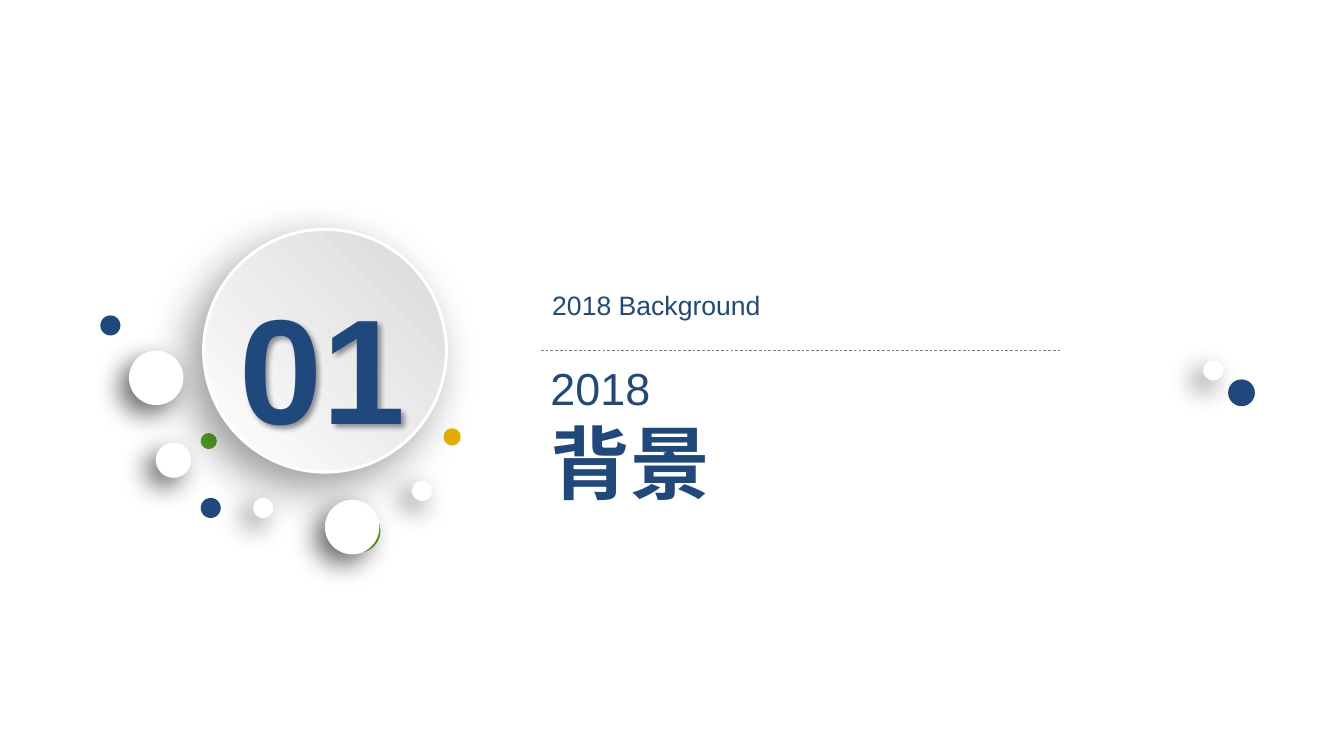
from lxml.etree import SubElement
from pptx import Presentation
from pptx.dml.color import RGBColor
from pptx.enum.dml import MSO_LINE_DASH_STYLE as Dash
from pptx.enum.shapes import MSO_CONNECTOR_TYPE as Link, MSO_SHAPE as Preset
from pptx.enum.text import MSO_ANCHOR as Anchor, MSO_AUTO_SIZE as Fit, PP_ALIGN as Align
from pptx.oxml.ns import qn
from pptx.util import Pt

COLORS = {
    "navy": "1F497D", "green": "58A527", "amber": "EAAE00",
    "white": "FFFFFF", "silver": "D9D9D9", "grey": "808080", "black": "000000",
}


def color(name):
    return RGBColor.from_string(COLORS[name])


class SectionSlide:
    """Holds the font and the current slide."""

    def __init__(self, slide, font="Arial"):
        self.slide = slide
        self.font = font

    def shadow(self, shape, opacity, blur, distance, angle):
        shape.shadow.inherit = False
        effects = shape._element.spPr.find(qn("a:effectLst"))
        outer = SubElement(effects, qn("a:outerShdw"), blurRad=str(Pt(blur)),
                           dist=str(Pt(distance)), dir=str(angle * 60000),
                           algn="ctr", rotWithShape="0")
        tone = SubElement(outer, qn("a:srgbClr"), val=COLORS["black"])
        SubElement(tone, qn("a:alpha"), val=str(opacity * 1000))

    def dot(self, left, top, size, fill):
        dot = self.slide.shapes.add_shape(
            Preset.OVAL, Pt(left), Pt(top), Pt(size), Pt(size))
        dot.shadow.inherit = False
        dot.fill.solid()
        dot.fill.fore_color.rgb = color(fill)
        dot.line.fill.background()
        return dot

    def disc(self, left, top, size):
        disc = self.dot(left, top, size, "white")
        disc.fill.gradient()
        disc.fill.gradient_angle = 45
        for stop, tone in zip(disc.fill.gradient_stops, ("white", "silver")):
            stop.color.rgb = color(tone)
        disc.line.color.rgb = color("white")
        disc.line.width = Pt(2.25)
        self.shadow(disc, 40, 35, 15, 135)

    def text(self, holder, box, lines, anchor=Anchor.TOP, align=Align.LEFT, wrap=False):
        """Each line is (wording, size, bold)."""
        holder.left, holder.top, holder.width, holder.height = map(Pt, box)
        frame = holder.text_frame
        frame.auto_size = Fit.NONE
        frame.word_wrap = wrap
        frame.vertical_anchor = anchor
        for index, (wording, size, bold) in enumerate(lines):
            line = frame.add_paragraph() if index else frame.paragraphs[0]
            line.alignment = align
            line.space_before = Pt(0)
            run = line.add_run()
            run.text = wording
            run.font.name = self.font
            run.font.size = Pt(size)
            run.font.bold = bold
            run.font.color.rgb = color("navy")

    def number(self, wording, box):
        number = self.slide.shapes.add_textbox(*map(Pt, box))
        self.text(number, box, [(wording, 112.5, True)], wrap=True)
        self.shadow(number, 40, 4, 3, 45)

    def divider(self, left, right, top):
        divider = self.slide.shapes.add_connector(
            Link.STRAIGHT, Pt(left), Pt(top), Pt(right), Pt(top))
        divider.line.color.rgb = color("grey")
        divider.line.width = Pt(0.5)
        divider.line.dash_style = Dash.DASH
        SubElement(divider._element.spPr, qn("a:effectLst"))


def main():
    deck = Presentation()
    deck.slide_width, deck.slide_height = Pt(1012.5), Pt(569.5)
    section = SectionSlide(deck.slides.add_slide(deck.slide_layouts[0]))

    # Coloured dots
    for left, top, size, fill in (
        (75.6, 237.6, 15.1, "navy"), (151.2, 375.1, 15.1, "navy"),
        (151.2, 326.2, 12.2, "green"), (334.1, 322.6, 13, "amber"),
        (254.2, 383.8, 32.4, "green"), (925.2, 285.8, 20.2, "navy"),
    ):
        section.dot(left, top, size, fill)

    # Section number on its disc
    section.disc(153.4, 172.8, 182.9)
    section.number("01", (173.5, 203.5, 141.8, 143.3))

    # Raised white dots
    for left, top, size in (
        (117.4, 333.4, 26.6), (97.2, 264.2, 41), (244.8, 376.6, 41),
        (190.8, 375.1, 15.1), (310.3, 362.2, 15.1), (906.5, 271.4, 15.1),
    ):
        section.shadow(section.dot(left, top, size, "white"), 60, 20, 10, 135)

    # Section title, subtitle and divider
    title, subtitle = section.slide.placeholders
    section.text(title, (407.5, 267.1, 135.4, 121),
                 [("2018", 33.8, False), ("背景", 60, True)], Anchor.MIDDLE)
    section.text(subtitle, (407.5, 213.8, 172.8, 31.7),
                 [("2018 Background", 20, False)], align=Align.RIGHT)
    section.divider(407.5, 798.5, 264.2)

    deck.save("out.pptx")


if __name__ == "__main__":
    main()
